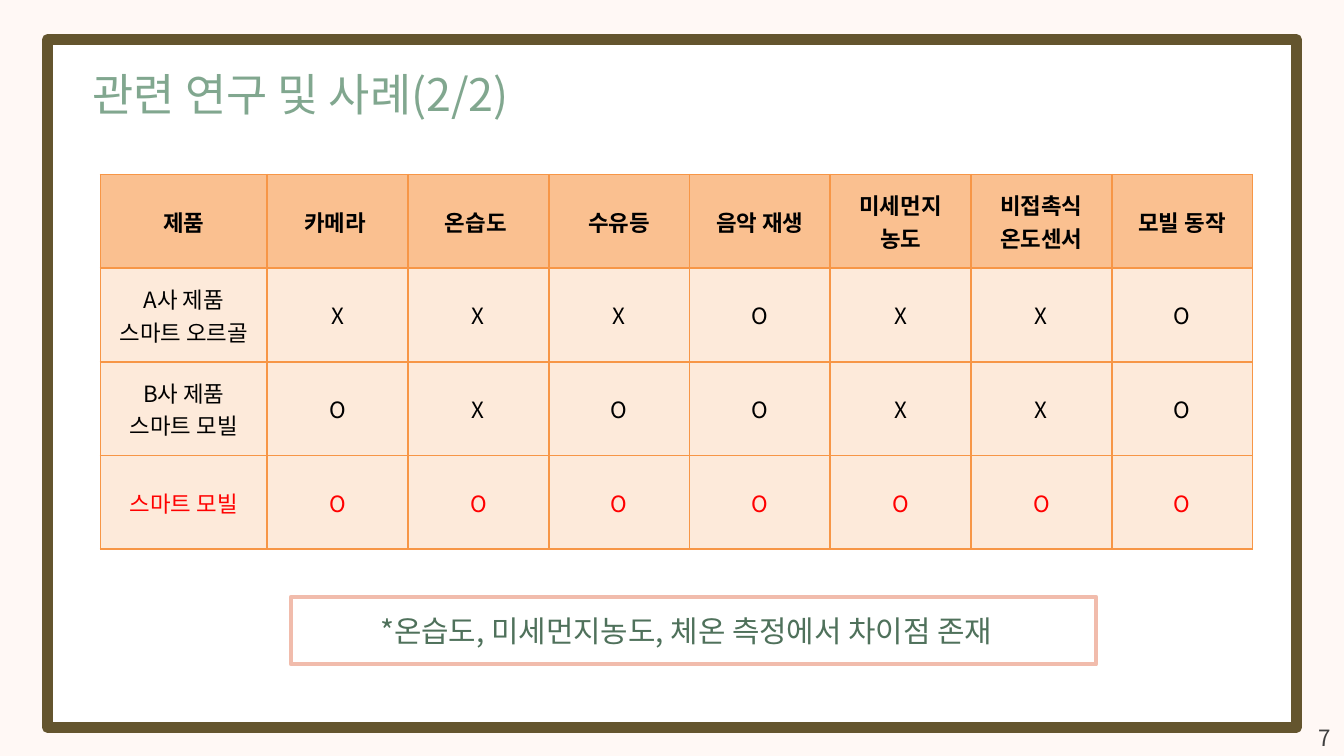
from dataclasses import dataclass

from lxml.etree import SubElement
from pptx import Presentation
from pptx.dml.color import RGBColor
from pptx.enum.shapes import MSO_SHAPE
from pptx.enum.text import MSO_ANCHOR, PP_ALIGN
from pptx.oxml import parse_xml
from pptx.oxml.ns import nsdecls, qn
from pptx.util import Cm, Pt


@dataclass(frozen=True)
class Theme:
    font: str = "Noto Sans CJK KR"
    background: str = "FFF8F5"
    panel: str = "FFFFFF"
    frame: str = "64552E"
    title: str = "81A78F"
    header_fill: str = "FAC090"
    body_fill: str = "FDEADA"
    grid: str = "F79646"
    ink: str = "000000"
    highlight: str = "FF0000"
    note: str = "4F715B"
    note_border: str = "F1BCAC"
    page_number: str = "404040"
    title_size: int = 24
    note_size: int = 16
    small_size: int = 12


THEME = Theme()

HEADERS = ["제품", "카메라 ", "온습도 ", "수유등", "음악 재생",
           "미세먼지\n농도", "비접촉식\n온도센서", "모빌 동작"]
# One mark per feature column
PRODUCTS = [
    ("A사 제품\n스마트 오르골", "XXXOXXO"),
    ("B사 제품\n스마트 모빌", "OXOOXXO"),
    ("스마트 모빌", "OOOOOOO"),
]


def rgb(color):
    return RGBColor.from_string(color)


def format_text(frame, size, color, bold=False, align=PP_ALIGN.CENTER):
    for paragraph in frame.paragraphs:
        paragraph.alignment = align
        for run in paragraph.runs:
            run.font.name = THEME.font
            run.font.size = Pt(size)
            run.font.bold = bold
            run.font.color.rgb = rgb(color)
            east_asian = SubElement(run.font._element, qn("a:ea"))
            east_asian.set("typeface", THEME.font)


def add_panel(slide, left, top, width, height, border, border_width):
    panel = slide.shapes.add_shape(
        MSO_SHAPE.RECTANGLE, Cm(left), Cm(top), Cm(width), Cm(height))
    panel.shadow.inherit = False
    panel.fill.solid()
    panel.fill.fore_color.rgb = rgb(THEME.panel)
    panel.line.color.rgb = rgb(border)
    panel.line.width = Pt(border_width)
    SubElement(panel.line._ln, qn("a:round"))


def set_title(slide, text):
    title = slide.shapes.title
    title.left, title.top, title.width, title.height = (
        Cm(1.5), Cm(1.14), Cm(9.58), Cm(1.27))
    frame = title.text_frame
    frame.text = text
    frame.word_wrap = False
    frame.vertical_anchor = MSO_ANCHOR.MIDDLE
    format_text(frame, THEME.title_size, THEME.title, align=PP_ALIGN.LEFT)
    # Keep the title in front of the framed panel
    slide.shapes._spTree.append(title._element)


def add_label(slide, text, left, top, width, height, size, color, wrap):
    label = slide.shapes.add_textbox(Cm(left), Cm(top), Cm(width), Cm(height))
    frame = label.text_frame
    frame.text = text
    frame.word_wrap = wrap
    format_text(frame, size, color)


def set_borders(cell):
    properties = cell._tc.get_or_add_tcPr()
    for position, side in enumerate(("lnL", "lnR", "lnT", "lnB")):
        properties.insert(position, parse_xml(
            f'<a:{side} {nsdecls("a")} w="{Pt(1)}"><a:solidFill>'
            f'<a:srgbClr val="{THEME.grid}"/></a:solidFill></a:{side}>'))


def fill_row(row, texts, fill, color, bold=False):
    for cell, text in zip(row.cells, texts):
        cell.text_frame.text = text
        cell.vertical_anchor = MSO_ANCHOR.MIDDLE
        cell.fill.solid()
        cell.fill.fore_color.rgb = rgb(fill)
        set_borders(cell)
        format_text(cell.text_frame, THEME.small_size, color, bold)


def add_comparison(slide):
    table = slide.shapes.add_table(
        len(PRODUCTS) + 1, len(HEADERS),
        Cm(1.9), Cm(3.3), Cm(21.8), Cm(7.08)).table
    for index, column in enumerate(table.columns):
        column.width = Cm(2.66 if index else 3.15)
    for row in table.rows:
        row.height = Cm(1.77)

    header, *product_rows = table.rows
    fill_row(header, HEADERS, THEME.header_fill, THEME.ink, bold=True)
    for row, (product, marks) in zip(product_rows, PRODUCTS):
        is_ours = product == PRODUCTS[-1][0]
        fill_row(row, [product, *marks], THEME.body_fill,
                 THEME.highlight if is_ours else THEME.ink)


def main():
    presentation = Presentation()
    presentation.slide_width, presentation.slide_height = Cm(25.4), Cm(14.29)
    slide = presentation.slides.add_slide(presentation.slide_layouts[5])
    slide.background.fill.solid()
    slide.background.fill.fore_color.rgb = rgb(THEME.background)

    add_panel(slide, 0.9, 0.75, 23.6, 13, THEME.frame, 6)
    set_title(slide, "관련 연구 및 사례(2/2)")
    add_comparison(slide)
    add_panel(slide, 5.5, 11.28, 15.22, 1.28, THEME.note_border, 2)
    add_label(slide, "*온습도, 미세먼지농도, 체온 측정에서 차이점 존재",
              5.72, 11.46, 14.5, 1.63, THEME.note_size, THEME.note, wrap=True)
    add_label(slide, "7", 24.66, 13.56, 0.76, 0.76,
              THEME.small_size, THEME.page_number, wrap=False)
    presentation.save("out.pptx")


if __name__ == "__main__":
    main()
